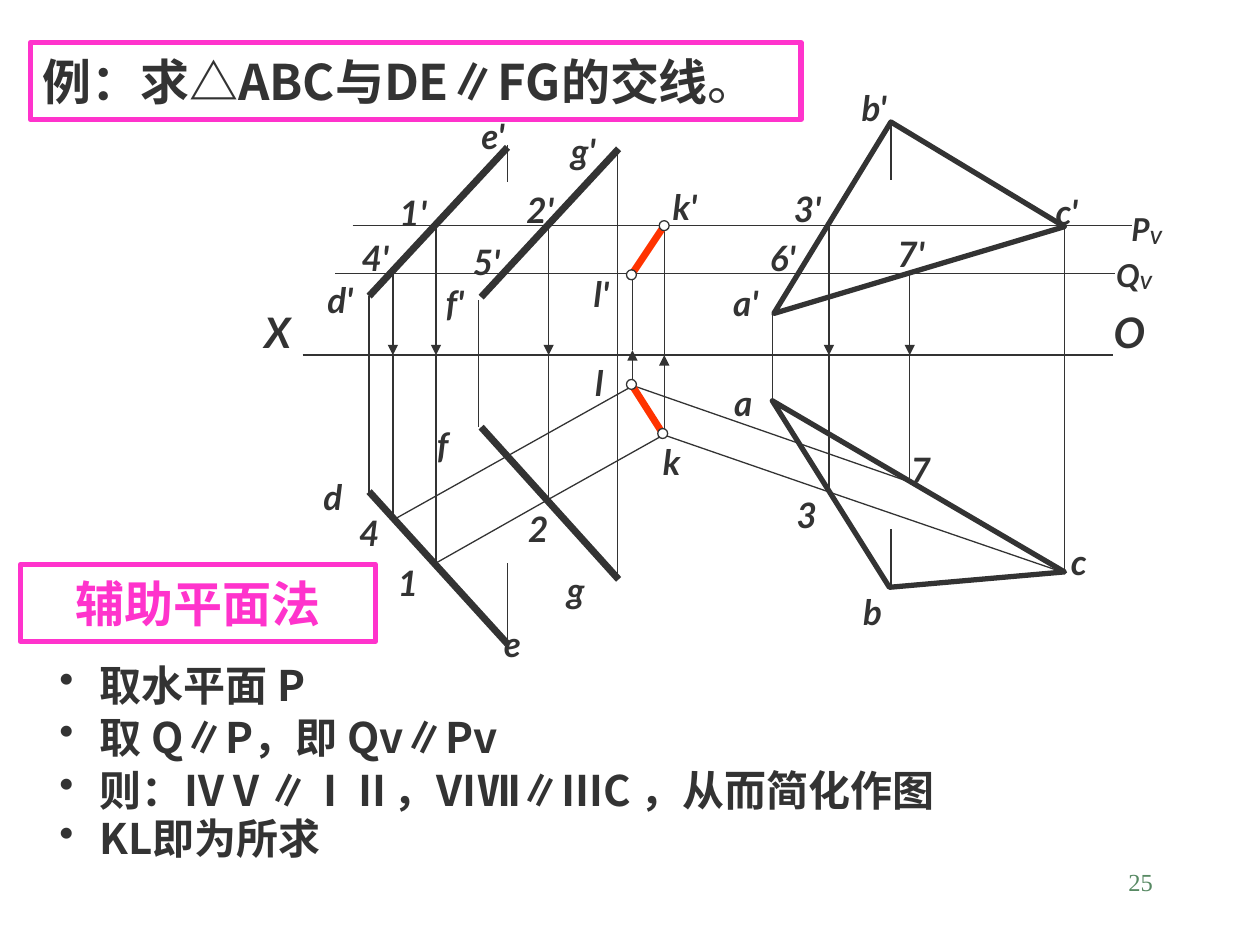
from itertools import pairwise

from lxml import etree
from pptx import Presentation
from pptx import util as u
from pptx.dml.color import RGBColor
from pptx.enum import shapes, text
from pptx.oxml.ns import qn

HUES = {"ink": "333333", "red": "FF3300", "pink": "FF33CC",
        "white": "FFFFFF", "green": "578963"}
LATIN, HAN, SERIF = "Lato", "Noto Sans CJK SC", "Times New Roman"
LEFT, MID, RIGHT = (text.PP_ALIGN.LEFT, text.PP_ALIGN.CENTER,
                    text.PP_ALIGN.RIGHT)


def hue(name):
    return RGBColor.from_string(HUES[name])


def spot(box, point):
    """Turn a point inside a box into slide lengths."""
    return [u.Cm(a + b) for a, b in zip(box, point)]


def style(para, size, face=LATIN, tint="ink", bold=True, slant=False):
    font = para.font
    font.size, font.name = u.Pt(size), face
    font.bold, font.italic = bold, slant
    font.color.rgb = hue(tint)
    if face == HAN:
        etree.SubElement(font._element, qn("a:ea")).set("typeface", face)


def line(slide, box, start, end, tint="ink", width=0.75, arrow=False):
    link = slide.shapes.add_connector(
        shapes.MSO_CONNECTOR.STRAIGHT, *spot(box, start), *spot(box, end))
    link.line.color.rgb = hue(tint)
    link.line.width = u.Pt(width)
    if arrow:
        tail = etree.SubElement(link.line._get_or_add_ln(), qn("a:tailEnd"))
        tail.set("type", "triangle")
    etree.SubElement(link._element.spPr, qn("a:effectLst"))


def label(slide, box, words, x, y, wide, align=MID, size=20, high=1.09, sub=""):
    area = slide.shapes.add_textbox(*spot(box, (x, y)), u.Cm(wide), u.Cm(high))
    frame = area.text_frame
    frame.word_wrap = True
    frame.vertical_anchor = text.MSO_ANCHOR.MIDDLE
    para = frame.paragraphs[0]
    para.alignment = align
    style(para, size, slant=True)
    para.add_run().text = words
    if sub:
        low = para.add_run()
        low.text = sub
        low.font._element.set("baseline", "-8000")


def outline(slide, box, points):
    first, *rest = [spot(box, p) for p in points]
    build = slide.shapes.build_freeform(*first)
    build.add_line_segments(rest, close=True)
    shape = build.convert_to_shape()
    shape.shadow.inherit = False
    shape.fill.background()
    shape.line.color.rgb = hue("ink")
    shape.line.width = u.Pt(3)


def node(slide, box, point, size=0.2):
    x, y = point
    dot = slide.shapes.add_shape(
        shapes.MSO_SHAPE.FLOWCHART_CONNECTOR,
        *spot(box, (x - size / 2, y - size / 2)), u.Cm(size), u.Cm(size))
    dot.shadow.inherit = False
    dot.fill.solid()
    dot.fill.fore_color.rgb = hue("white")
    dot.line.color.rgb = hue("ink")
    dot.line.width = u.Pt(0.75)


def frame(slide, box, parts, tint, align):
    """Draw a pink-edged box; parts are (words, bold) pairs."""
    panel = slide.shapes.add_shape(shapes.MSO_SHAPE.RECTANGLE,
                                   *[u.Cm(v) for v in box])
    panel.shadow.inherit = False
    panel.fill.solid()
    panel.fill.fore_color.rgb = hue("white")
    panel.line.color.rgb = hue("pink")
    panel.line.width = u.Pt(3)
    para = panel.text_frame.paragraphs[0]
    para.alignment = align
    style(para, 28, HAN, tint)
    for words, bold in parts:
        run = para.add_run()
        run.text = words
        if not bold:
            run.font.bold = False


def planes(slide, box):
    """Draw the axis, both plane traces, the projectors and the line KL."""
    trace, axis = {"P": 0, "Q": 0.96}, 2.61
    line(slide, box, (-0.66, axis), (15.67, axis), width=1)
    line(slide, box, (0.35, trace["P"]), (16.05, trace["P"]))
    line(slide, box, (0, trace["Q"]), (15.72, trace["Q"]))
    for words, x, y in (("P", 15.8, -0.44), ("Q", 15.49, 0.48)):
        label(slide, box, words, x, y, 1.65, LEFT, 18, 1.02, "V")
    for words, x in (("X", -1.68), ("O", 15.44)):
        label(slide, box, words, x, 1.5, 1.35, LEFT, 24, 1.27)

    for x, plane, foot in ((1.16, "Q", 5.97), (2.03, "P", 6.8),
                           (4.3, "P", 5.61), (9.95, "P", 5.36),
                           (11.58, "Q", 5.13)):
        line(slide, box, (x, trace[plane]), (x, axis), arrow=True)
        line(slide, box, (x, axis), (x, foot))
    for x, plane, foot, tip in ((5.99, "Q", 3.22, 2.51), (6.63, "P", 4.26, axis)):
        line(slide, box, (x, foot), (x, tip), arrow=True)
        line(slide, box, (x, tip), (x, trace[plane]))

    for ray in (((2.03, 6.8), (4.31, 5.51), (6.63, 4.21)),
                ((14.65, 6.98), (9.93, 5.36), (6.6, 4.21)),
                ((1.24, 5.89), (6.01, 3.22)),
                ((11.53, 5.15), (5.99, 3.22))):
        for start, end in pairwise(ray):
            line(slide, box, start, end)
    for ends in (((5.97, 0.99), (6.63, 0)), ((5.97, 3.2), (6.6, 4.19))):
        line(slide, box, *ends, tint="red", width=4)
        for end in ends:
            node(slide, box, end)

    for mark in (("1'", 0.96, -0.82, 1.22), ("2'", 3.48, -0.87, 1.3),
                 ("3'", 8.86, -0.89, 1.32), ("4'", 0.12, 0.1, 1.37),
                 ("5'", 2.3, 0.17, 1.5), ("6'", 8.27, 0.1, 1.5),
                 ("7'", 10.92, 0.02, 1.37), ("k'", 6.4, -0.94, 1.3),
                 ("l'", 4.82, 0.83, 1.09), ("1", 1.01, 6.65, 0.89),
                 ("2", 3.53, 5.56, 1.12), ("3", 8.96, 5.28, 1.09),
                 ("4", 0.23, 5.64, 0.89), ("7", 11.35, 4.37, 0.84),
                 ("k", 6.27, 4.21, 1.02), ("l", 4.85, 2.61, 0.94)):
        label(slide, box, *mark)


def pair(slide, box):
    """Draw both views of the parallel lines DE and FG."""
    for ends in (((0, 3.05), (0, 7.04)), ((2.21, 3.13), (2.21, 5.69)),
                 ((5.01, 0.15), (5.01, 8.74)), ((2.79, 0), (2.79, 0.74)),
                 ((2.79, 8.43), (2.79, 10.06))):
        line(slide, box, *ends)
    for ends in (((0, 3.05), (2.79, 0.05)), ((2.26, 3.07), (5.03, 0.08)),
                 ((0, 6.99), (2.79, 10.06)), ((2.26, 5.69), (5.03, 8.76))):
        line(slide, box, *ends, width=4)
    for mark in (("d'", -1.52, 2.57, 1.88), ("e'", 1.75, -0.74, 1.5),
                 ("f'", 0.79, 2.64, 1.88), ("g'", 3.57, -0.43, 1.5),
                 ("d", -1.17, 6.55, 1.32, LEFT), ("e", 2.47, 9.5, 1.35, LEFT),
                 ("f", 1.12, 5.49, 1.14, LEFT), ("g", 3.74, 8.41, 1.02, LEFT)):
        label(slide, box, *mark)


def triangle(slide, box):
    """Draw both views of the triangle ABC."""
    outline(slide, box, ((5.89, 2.11), (2.39, 0), (0.03, 3.86)))
    outline(slide, box, ((5.89, 9.07), (2.36, 9.38), (0, 5.62)))
    for x, top, foot in ((0, 3.84, 5.69), (5.89, 2.11, 9.07),
                         (2.39, 0.03, 1.17), (2.39, 8.21, 9.4)):
        line(slide, box, (x, top), (x, foot))
    for mark in (("a'", -1.35, 3.1, 1.63), ("b'", 1.55, -0.83, 1.5, LEFT),
                 ("c'", 5.46, 1.25, 1.45, LEFT), ("a", -1.02, 5.11, 0.84),
                 ("b", 1.58, 9.33, 0.84, LEFT), ("c", 5.77, 8.31, 0.79, LEFT)):
        label(slide, box, *mark)


def notes(slide, box):
    for y, words in ((0, "取水平面 P"), (1.05, "取 Q∥P，即 Qv∥Pv"),
                     (2.13, "则：ⅣⅤ∥ⅠⅡ，ⅥⅦ∥ⅢC ，从而简化作图"),
                     (3.1, "KL即为所求")):
        area = slide.shapes.add_textbox(*spot(box, (0, y)), u.Cm(24.4), u.Cm(1.27))
        area.text_frame.word_wrap = True
        area.text_frame.vertical_anchor = text.MSO_ANCHOR.MIDDLE
        para = area.text_frame.paragraphs[0]
        props = para._p.get_or_add_pPr()
        props.set("marL", str(u.Cm(0.81)))
        props.set("indent", str(-u.Cm(0.81)))
        etree.SubElement(props, qn("a:buChar")).set("char", "•")
        style(para, 24, HAN)
        para.add_run().text = words


def folio(slide, box):
    area = slide.shapes.add_textbox(*[u.Cm(v) for v in box])
    area.text_frame.word_wrap = True
    para = area.text_frame.paragraphs[0]
    para.alignment = RIGHT
    style(para, 14, SERIF, "green", bold=False)
    para.add_run().text = "25"


def main():
    deck = Presentation()
    deck.slide_width, deck.slide_height = u.Cm(25.4), u.Cm(19.05)
    slide = deck.slides.add_slide(deck.slide_layouts[6])
    planes(slide, (6.76, 4.55))
    pair(slide, (7.44, 2.92))
    triangle(slide, (15.57, 2.46))
    frame(slide, (0.61, 0.86, 15.54, 1.55),
          (("例：求△ABC与DE∥FG的交线", True), ("。", False)), "ink", LEFT)
    frame(slide, (0.41, 11.38, 7.16, 1.55), (("辅助平面法", True),), "pink", MID)
    notes(slide, (0.95, 13.16))
    folio(slide, (18.21, 17.35, 5.28, 1.27))
    deck.save("out.pptx")


if __name__ == "__main__":
    main()
